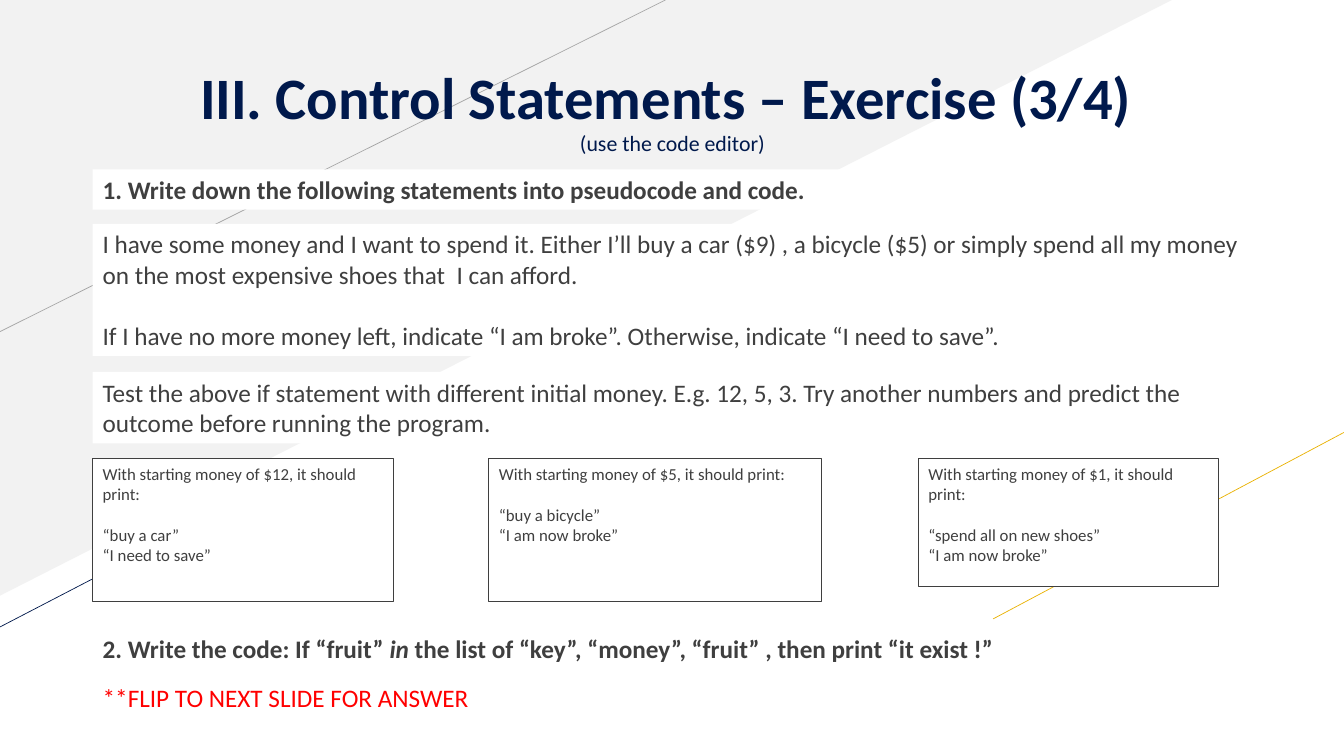
import pptx
import pptx.util
import pptx.dml.color
import pptx.enum.shapes
import pptx.enum.text
import pptx.oxml.ns
import lxml.etree

Inches, Pt = pptx.util.Inches, pptx.util.Pt
RGB = pptx.dml.color.RGBColor
SHAPE = pptx.enum.shapes.MSO_SHAPE
ALIGN = pptx.enum.text.PP_ALIGN
ANCHOR = pptx.enum.text.MSO_ANCHOR

WHITE = RGB(0xFF, 0xFF, 0xFF)
PALE = RGB(0xF2, 0xF2, 0xF2)
GREY = RGB(0xA6, 0xA6, 0xA6)
GOLD = RGB(0xEA, 0xB2, 0x00)
NAVY = RGB(0x00, 0x19, 0x4C)
INK = RGB(0x3F, 0x3F, 0x3F)
RED = RGB(0xFF, 0x00, 0x00)

FONT = "Calibri"
W, H = 13.33, 7.5
LEFT, WIDTH = 0.92, 11.5  # content column
LINE_SPACING = 1.22       # height of a text line, as a share of its size


def add_run(p, text, size, color, bold=False, italic=False):
    r = p.add_run()
    r.text = text
    r.font.name = FONT
    r.font.size = Pt(size)
    r.font.color.rgb = color
    r.font.bold = bold
    r.font.italic = italic


def add_panel(slide, box, paragraphs, size=18, color=INK, bold=False,
              border=False, wrap=True):
    """White panel; each paragraph is a list of (text, italic) runs.

    A gap one line high follows the first paragraph.
    """
    sp = slide.shapes.add_shape(SHAPE.RECTANGLE, *map(Inches, box))
    sp.shadow.inherit = False
    sp.fill.solid()
    sp.fill.fore_color.rgb = WHITE
    if border:
        sp.line.color.rgb = INK
        sp.line.width = Pt(0.75)
    else:
        sp.line.fill.background()
    tf = sp.text_frame
    tf.word_wrap = wrap
    tf.vertical_anchor = ANCHOR.TOP
    for i, runs in enumerate(paragraphs):
        p = tf.paragraphs[0] if i == 0 else tf.add_paragraph()
        p.alignment = ALIGN.LEFT
        if i == 1:
            p.space_before = Pt(size * LINE_SPACING)
        for text, italic in runs:
            add_run(p, text, size, color, bold, italic)


def add_background(slide, w, h):
    # Pale corner
    sp = slide.shapes.add_shape(SHAPE.RIGHT_TRIANGLE, 0, 0,
                                Inches(0.872 * w), Inches(0.788 * h))
    sp.element.spPr.get_or_add_xfrm().set("flipV", "1")
    sp.shadow.inherit = False
    sp.fill.solid()
    sp.fill.fore_color.rgb = PALE
    sp.line.fill.background()
    # Slanted rules
    for x1, y1, x2, y2, color in [(0, 3.29, 6.6, 0, GREY),
                                  (9.85, 6.14, w, 4.29, GOLD),
                                  (-0.02, 6.23, 2.08, 5.14, NAVY)]:
        line = slide.shapes.add_connector(
            pptx.enum.shapes.MSO_CONNECTOR.STRAIGHT,
            *map(Inches, (x1, y1, x2, y2)))
        line.line.color.rgb = color
        line.line.width = Pt(0.5)
        lxml.etree.SubElement(line.element.spPr,
                              pptx.oxml.ns.qn("a:effectLst"))


def add_title(slide, box, title, note):
    tf = slide.shapes.add_textbox(*map(Inches, box)).text_frame
    tf.word_wrap = True
    tf.vertical_anchor = ANCHOR.BOTTOM
    tf.margin_bottom = 0
    p = tf.paragraphs[0]
    p.alignment = ALIGN.CENTER
    p.line_spacing = 0.9
    add_run(p, title, 41.9, NAVY, bold=True)
    p.add_line_break()
    add_run(p, note, 15.6, NAVY)


def add_task(slide, box):
    """First exercise: heading, problem and test instructions."""
    x, y, w, h = box
    add_panel(slide, (x, y, 7.96, 0.4), [
        [("1. Write down the following statements into pseudocode and code.",
          False)]], bold=True)
    add_panel(slide, (x, y + 0.54, w, 1.31), [
        [("I have some money and I want to spend it. Either I’ll buy a car "
          "($9) , a bicycle ($5) or simply spend all my money on the most "
          "expensive shoes that  I can afford.", False)],
        [("If I have no more money left, indicate “I am broke”. Otherwise, "
          "indicate “I need to save”.", False)]])
    add_panel(slide, (x, y + h - 0.71, w - 0.1, 0.71), [
        [("Test the above if statement with different initial money. E.g. "
          "12, 5, 3. Try another numbers and predict the outcome before "
          "running the program.", False)]])


def add_outcomes(slide, box):
    """Expected output for each starting amount."""
    x, y, w, h = box
    narrow = 2.98
    for left, width, height, money, lines in [
            (x, narrow, h, 12, ["“buy a car”", "“I need to save”"]),
            (x + 3.93, 3.3, h, 5, ["“buy a bicycle”", "“I am now broke”"]),
            (x + w - narrow, narrow, h - 0.15, 1,
             ["“spend all on new shoes”", "“I am now broke”"])]:
        heading = f"With starting money of ${money}, it should print:"
        add_panel(slide, (left, y, width, height),
                  [[(text, False)] for text in [heading] + lines],
                  size=12, border=True)


def add_closing(slide, box):
    """Second exercise and pointer to the answer."""
    x, y, w, h = box
    add_panel(slide, (x, y, w, 0.4), [
        [("2. Write the code: If “fruit” ", False), ("in", True),
         (" the list of “key”, “money”, “fruit” , then print “it exist !”",
          False)]], bold=True)
    add_panel(slide, (x, y + h - 0.4, 3.87, 0.4), [
        [("**FLIP TO NEXT SLIDE FOR ANSWER", False)]], color=RED, wrap=False)


def main():
    prs = pptx.Presentation()
    prs.slide_width, prs.slide_height = Inches(W), Inches(H)
    slide = prs.slides.add_slide(prs.slide_layouts[6])
    add_background(slide, W, H)
    add_title(slide, (LEFT, 0.4, WIDTH, 1.15),
              "III. Control Statements – Exercise (3/4) ",
              "(use the code editor)")
    add_task(slide, (LEFT, 1.68, WIDTH, 2.72))
    add_outcomes(slide, (LEFT, 4.55, 11.17, 1.42))
    add_closing(slide, (LEFT, 6.23, WIDTH, 0.89))
    prs.save("out.pptx")


if __name__ == "__main__":
    main()
